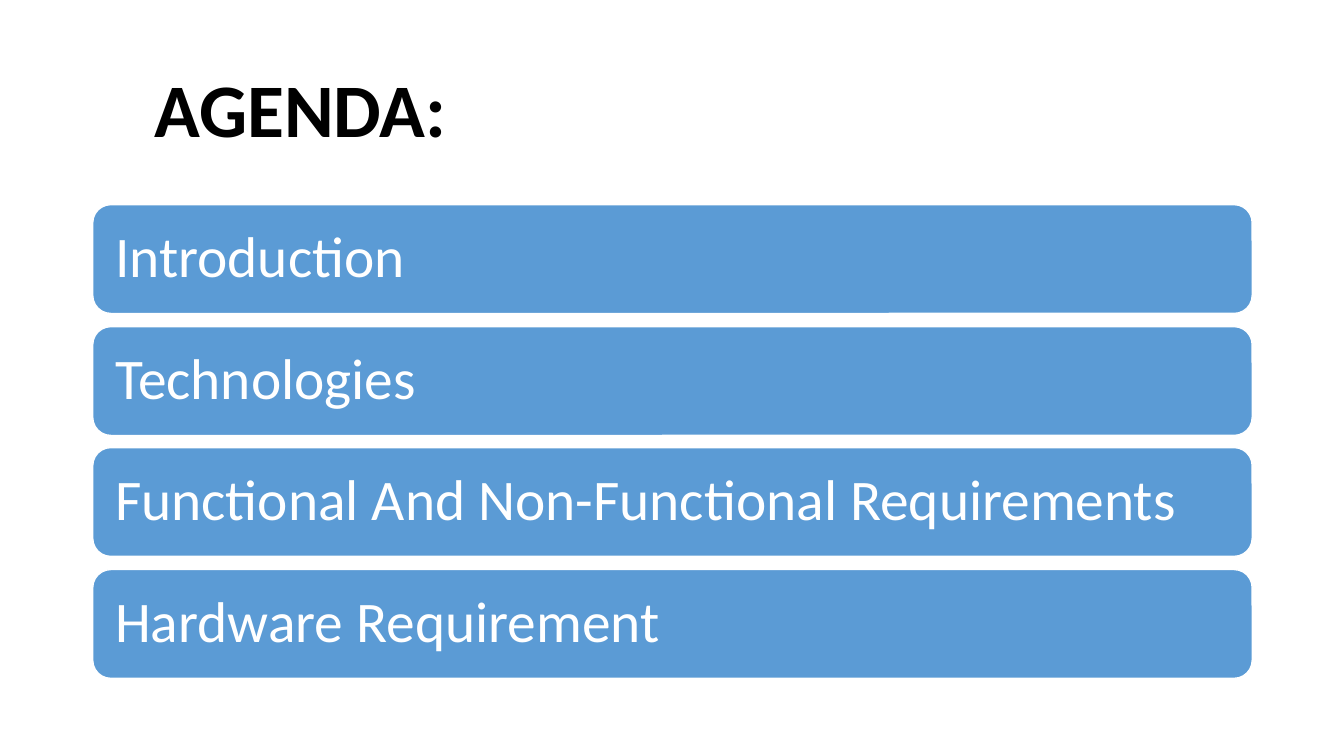
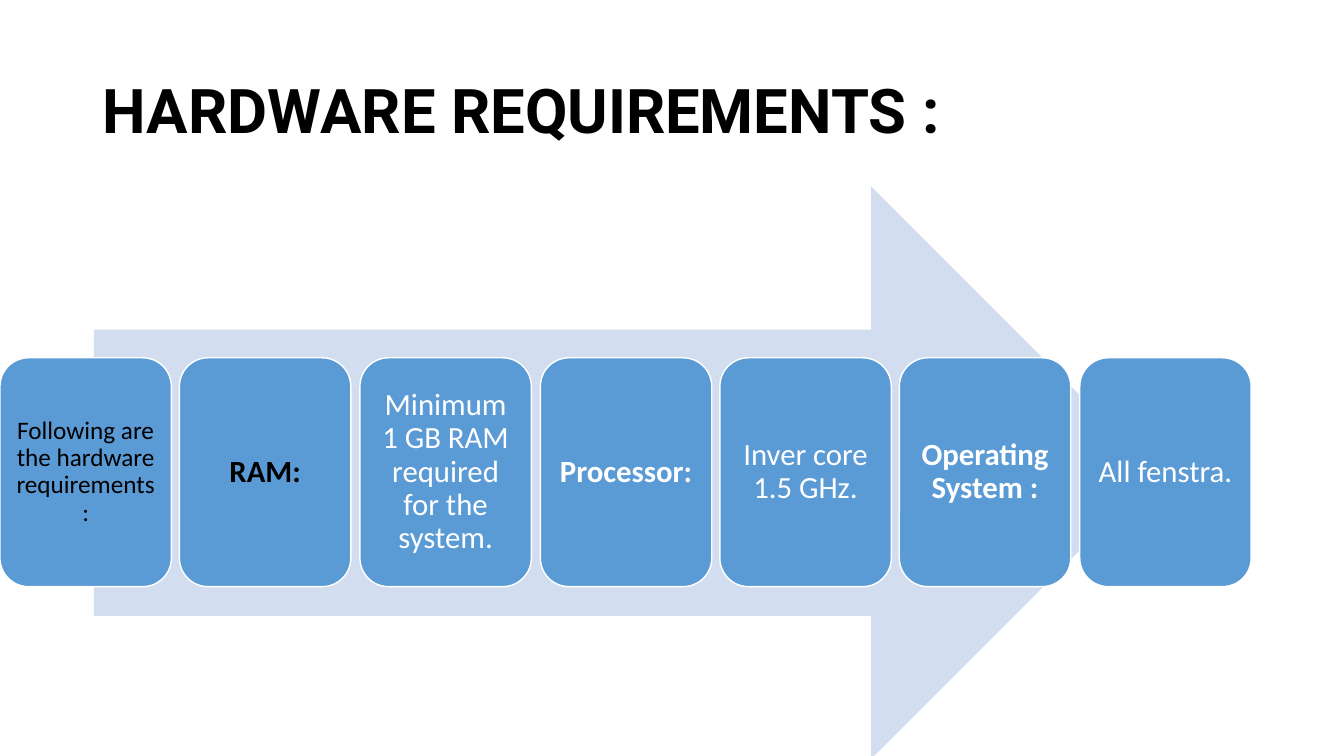
from dataclasses import dataclass

import pptx
import pptx.dml.color
import pptx.enum.shapes
import pptx.enum.text
import pptx.util

Shape = pptx.enum.shapes.MSO_SHAPE
Align = pptx.enum.text.PP_ALIGN
Color = pptx.dml.color.RGBColor.from_string

SCALE = 9144  # EMU in one px, 100 px to the inch


@dataclass(frozen=True)
class Theme:
    white: str = "FFFFFF"
    black: str = "000000"
    blue: str = "5B9BD5"
    pale: str = "D2DEEF"
    body: str = "Calibri"
    head: str = "Roboto"
    agenda: int = 54
    title: int = 44
    bar: int = 41
    card: int = 22
    small: int = 18
    lead: float = 0.9
    edge: int = 1


THEME = Theme()


@dataclass(frozen=True)
class Box:
    left: int
    top: int
    width: int
    height: int

    def emu(self) -> tuple[int, ...]:
        return tuple(v * SCALE for v in (self.left, self.top, self.width, self.height))


@dataclass(frozen=True)
class Style:
    size: int
    color: str = THEME.white
    bold: bool = False
    font: str = THEME.body
    align: Align = Align.CENTER
    inset: int = 9


@dataclass(frozen=True)
class Label:
    text: str
    style: Style


TITLE = Box(92, 40, 1150, 145)
ARROW = Box(93, 185, 1055, 568)

BAR = Style(THEME.bar, align=Align.LEFT, inset=17)
CARD = Style(THEME.card)
BOLD = Style(THEME.card, bold=True)
DARK = Style(THEME.card, THEME.black, bold=True)
INTRO = Style(THEME.small, THEME.black, inset=7)

TOPICS = (
    "Introduction",
    "Technologies",
    "Functional And Non-Functional Requirements",
    "Hardware Requirement",
)
NEEDS = (
    Label("Following are the hardware requirements:", INTRO),
    Label("RAM:", DARK),
    Label("Minimum 1 GB RAM required for the system.", CARD),
    Label("Processor:", BOLD),
    Label("Inver core 1.5 GHz.", CARD),
    Label("Operating System :", BOLD),
    Label("All fenstra.", CARD),
)


def spread(first: int, last: int, count: int) -> list[int]:
    """Return evenly spaced places from first to last."""
    return [round(first + (last - first) * i / (count - 1)) for i in range(count)]


def write(shape, label: Label) -> None:
    style = label.style
    frame = shape.text_frame
    frame.text = label.text
    frame.word_wrap = True
    frame.auto_size = pptx.enum.text.MSO_AUTO_SIZE.NONE
    frame.vertical_anchor = pptx.enum.text.MSO_ANCHOR.MIDDLE
    inset = style.inset * SCALE
    frame.margin_left = frame.margin_right = inset
    frame.margin_top = frame.margin_bottom = inset
    for para in frame.paragraphs:
        para.alignment = style.align
        para.line_spacing = THEME.lead
        for run in para.runs:
            run.font.name = style.font
            run.font.size = pptx.util.Pt(style.size)
            run.font.bold = style.bold
            run.font.color.rgb = Color(style.color)


def draw(slide, kind: Shape, box: Box, fill: str):
    shape = slide.shapes.add_shape(kind, *box.emu())
    shape.shadow.inherit = False
    shape.fill.solid()
    shape.fill.fore_color.rgb = Color(fill)
    shape.line.fill.background()
    return shape


def tile(slide, box: Box, label: Label) -> None:
    """Draw a rounded, white-edged box with its label."""
    shape = draw(slide, Shape.ROUNDED_RECTANGLE, box, THEME.blue)
    shape.line.color.rgb = Color(THEME.white)
    shape.line.width = pptx.util.Pt(THEME.edge)
    write(shape, label)


def start(deck, text: str, size: int, font: str, indent: int = 0):
    """Add a slide with its title set."""
    slide = deck.slides.add_slide(deck.slide_layouts[5])
    title = slide.shapes.title
    title.left, title.top, title.width, title.height = TITLE.emu()
    style = Style(size, THEME.black, True, font, Align.LEFT, 10)
    write(title, Label(text, style))
    title.text_frame.margin_left = (style.inset + indent) * SCALE
    return slide


def agenda(deck) -> None:
    slide = start(deck, "AGENDA:", THEME.agenda, THEME.body, indent=51)
    for top, text in zip(spread(203, 565, len(TOPICS)), TOPICS):
        tile(slide, Box(92, top, 1150, 108), Label(text, BAR))


def hardware(deck) -> None:
    slide = start(deck, "HARDWARE REQUIREMENTS :", THEME.title, THEME.head)
    draw(slide, Shape.RIGHT_ARROW, ARROW, THEME.pale)
    for left, label in zip(spread(0, 1071, len(NEEDS)), NEEDS):
        tile(slide, Box(left, 355, 170, 227), label)


def main() -> None:
    deck = pptx.Presentation()
    deck.slide_width = 1333 * SCALE
    deck.slide_height = 750 * SCALE
    agenda(deck)
    hardware(deck)
    deck.save("out.pptx")


if __name__ == "__main__":
    main()
